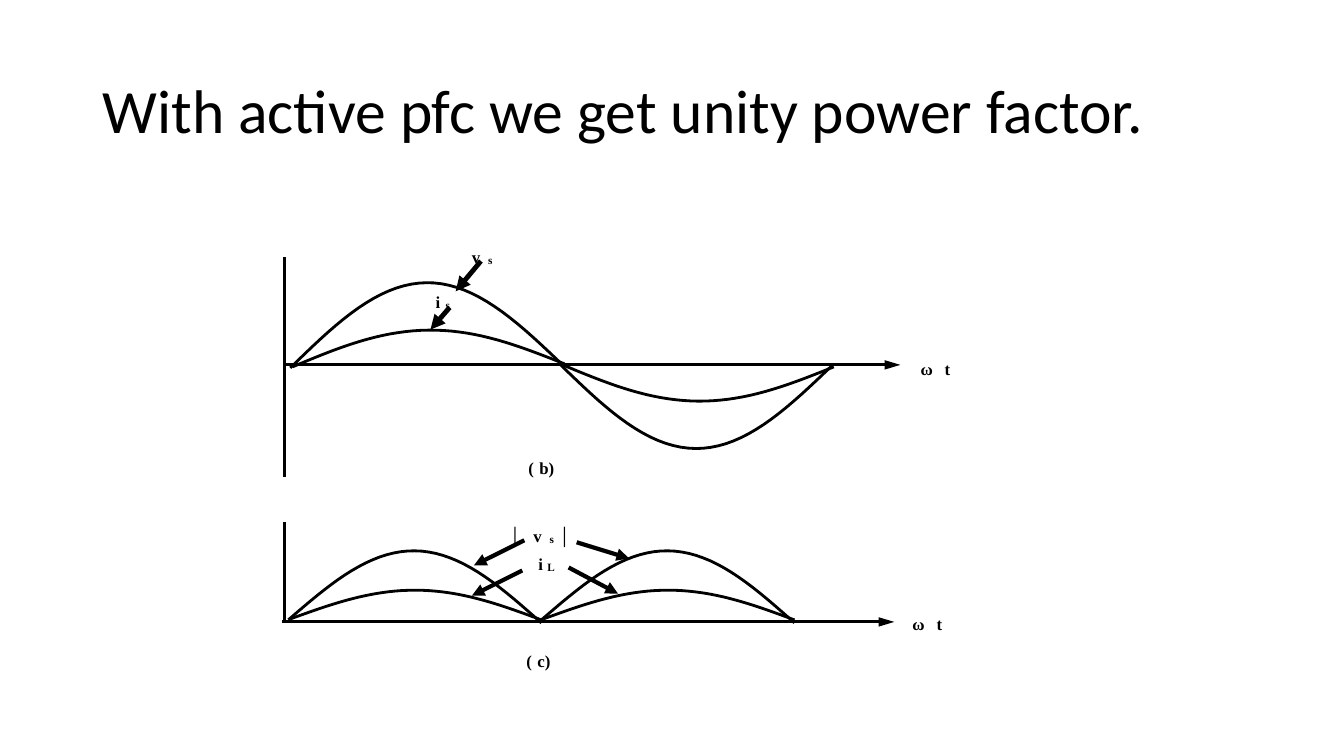
from dataclasses import dataclass
from math import pi, sin

from lxml import etree
from pptx import Presentation
from pptx import util as u
from pptx.dml import color
from pptx.enum import shapes, text
from pptx.oxml import ns

SCALE = 9144
INK = "000000"
STEPS = 36


@dataclass
class Label:
    words: str
    x: int
    y: int
    w: int
    small: bool = False


@dataclass
class Line:
    x1: int
    y1: int
    x2: int
    y2: int
    width: float = 2
    head: str = ""


@dataclass
class Wave:
    x1: int
    y1: int
    x2: int
    y2: int
    height: int


LABELS = [
    Label("v", 468, 243, 22), Label("s", 484, 250, 19, True),
    Label("i", 432, 288, 12), Label("s", 442, 295, 19, True),
    Label("ω", 913, 355, 32), Label("t", 937, 355, 26),
    Label("(", 524, 453, 15), Label("b)", 535, 453, 50),
    Label("│", 505, 520, 31), Label("v", 529, 520, 22),
    Label("s", 545, 527, 11, True), Label("│", 554, 520, 31),
    Label("i", 534, 548, 12), Label("L", 543, 555, 27, True),
    Label("ω", 905, 607, 32), Label("t", 929, 607, 26),
    Label("(", 522, 644, 15), Label("c)", 533, 644, 45),
]

LINES = [
    Line(282, 255, 282, 473),
    Line(282, 518, 282, 617),
    Line(282, 362, 893, 362, 2.25, "lg"),
    Line(280, 617, 887, 617, 2.25, "lg"),
    Line(477, 259, 452, 289, 3.5, "med"),
    Line(446, 305, 427, 327, 3.5, "med"),
    Line(520, 536, 470, 561, 3, "med"),
    Line(518, 566, 468, 591, 3, "med"),
    Line(564, 563, 613, 589, 3, "med"),
    Line(572, 538, 624, 554, 3, "med"),
]

WAVES = [
    Wave(288, 365, 558, 362, 83),
    Wave(555, 361, 825, 363, -83),
    Wave(290, 364, 560, 361, 35),
    Wave(558, 362, 827, 364, -35),
    Wave(286, 615, 537, 618, 70),
    Wave(288, 614, 537, 615, 29),
    Wave(537, 615, 788, 618, 70),
    Wave(539, 614, 788, 615, 29),
]


def px(n: float) -> u.Emu:
    return u.Emu(round(n * SCALE))


def rgb(code: str) -> color.RGBColor:
    return color.RGBColor.from_string(code)


def add_text(slide, words: str, x: int, y: int, w: int, h: int):
    box = slide.shapes.add_textbox(px(x), px(y), px(w), px(h))
    frame = box.text_frame
    frame.word_wrap = True
    frame.text = words
    para = frame.paragraphs[0]
    para.font.color.rgb = rgb(INK)
    return frame, para


def add_title(slide) -> None:
    frame, para = add_text(
        slide, "With active pfc we get unity power factor.", 92, 40, 1150, 145)
    frame.vertical_anchor = text.MSO_ANCHOR.MIDDLE
    para.line_spacing = 0.9
    para.font.name = "Calibri"
    para.font.size = u.Pt(44)


def add_label(slide, label: Label) -> None:
    tall = 16 if label.small else 24
    frame, para = add_text(slide, label.words, label.x, label.y, label.w, tall)
    frame.margin_left = frame.margin_right = 0
    frame.margin_top = frame.margin_bottom = 0
    para.line_spacing = 1.07
    para.space_after = u.Pt(8)
    para.font.name = "Times New Roman"
    para.font.size = u.Pt(8 if label.small else 12)
    para.font.bold = True


def add_line(slide, line: Line) -> None:
    link = slide.shapes.add_connector(
        shapes.MSO_CONNECTOR.STRAIGHT,
        px(line.x1), px(line.y1), px(line.x2), px(line.y2))
    link.line.color.rgb = rgb(INK)
    link.line.width = u.Pt(line.width)
    if line.head:
        edge = link.line._get_or_add_ln()
        etree.SubElement(edge, ns.qn("a:tailEnd"),
                         type="triangle", w="med", len=line.head)
    etree.SubElement(link._element.spPr, ns.qn("a:effectLst"))


def add_wave(slide, wave: Wave) -> None:
    dots = []
    for step in range(STEPS + 1):
        part = step / STEPS
        x = wave.x1 + part * (wave.x2 - wave.x1)
        base = wave.y1 + part * (wave.y2 - wave.y1)
        dots.append((px(x), px(base - wave.height * sin(pi * part))))
    pen = slide.shapes.build_freeform(*dots[0])
    pen.add_line_segments(dots[1:], close=False)
    curve = pen.convert_to_shape()
    curve.shadow.inherit = False
    curve.fill.background()
    curve.line.color.rgb = rgb(INK)
    curve.line.width = u.Pt(2)


def main() -> None:
    deck = Presentation()
    deck.slide_width = px(1333)
    deck.slide_height = px(750)
    slide = deck.slides.add_slide(deck.slide_layouts[6])
    add_title(slide)
    for wave in WAVES:
        add_wave(slide, wave)
    for label in LABELS:
        add_label(slide, label)
    for line in LINES:
        add_line(slide, line)
    deck.save("out.pptx")


if __name__ == "__main__":
    main()
